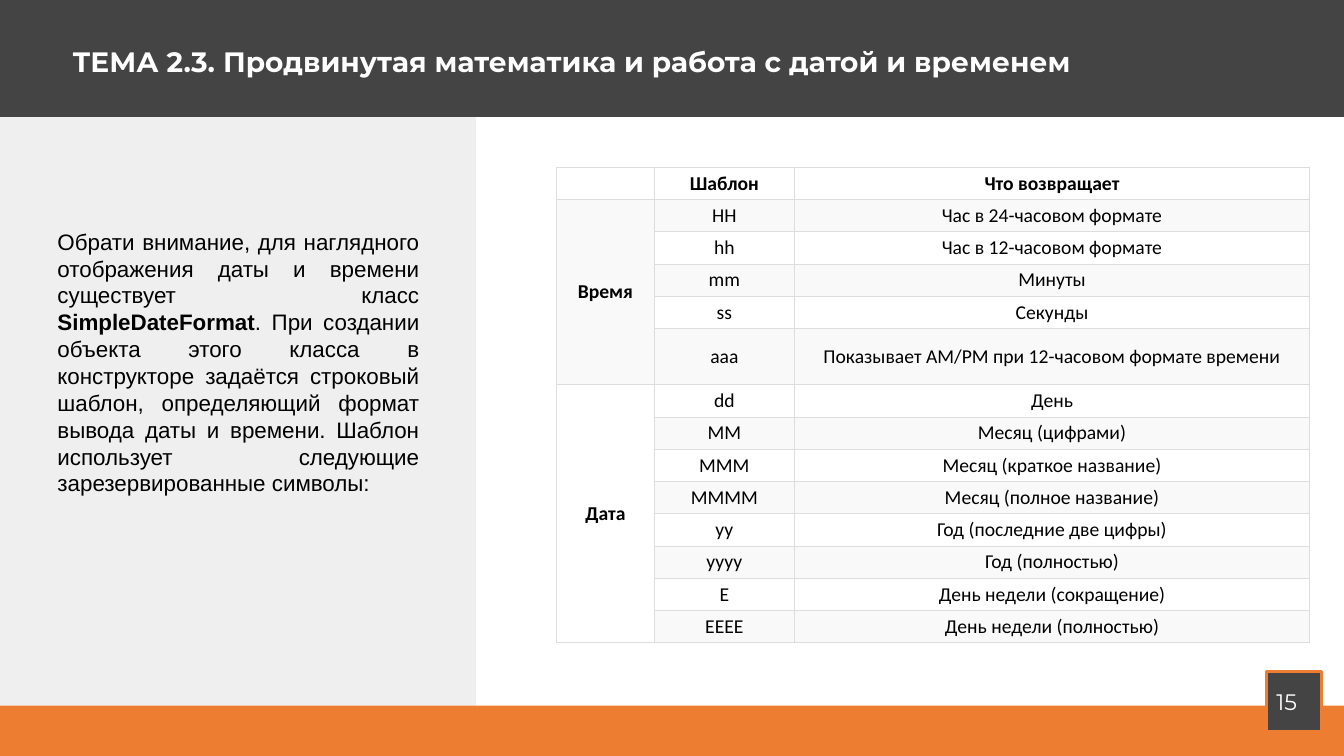
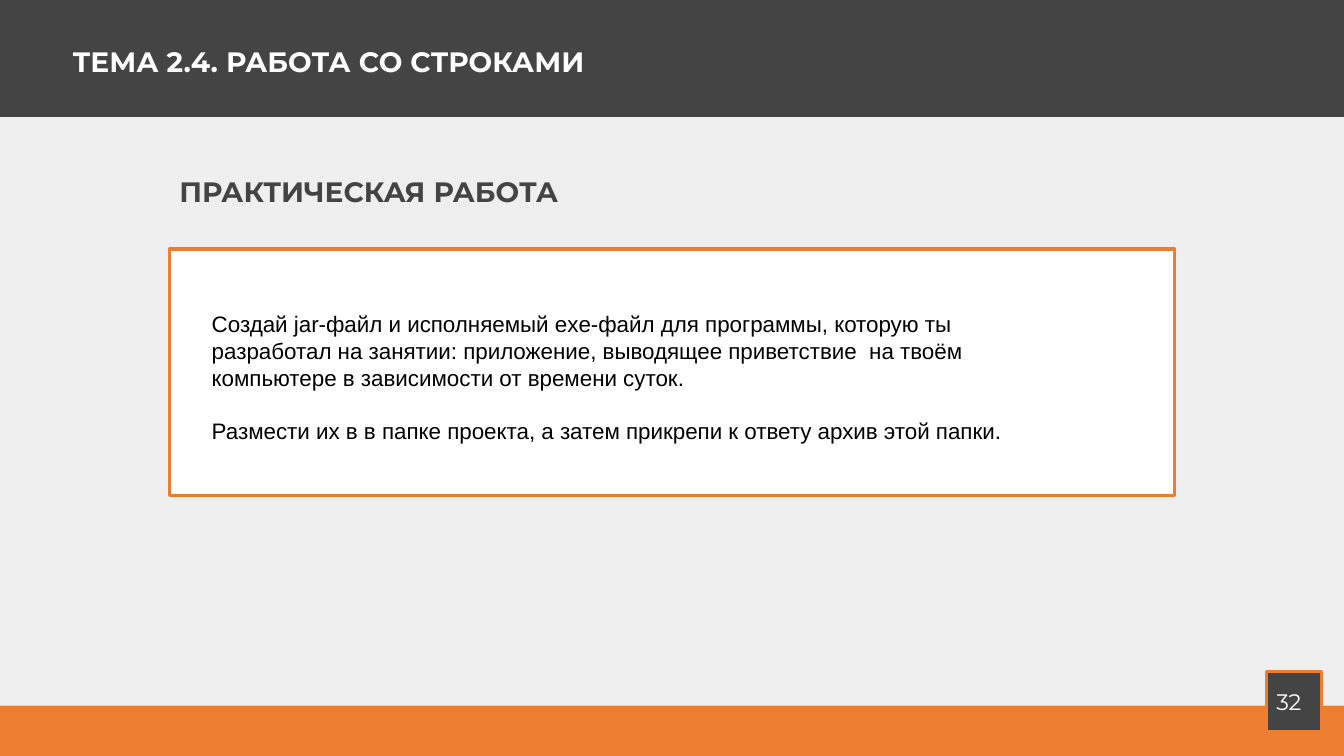
from lxml.etree import SubElement
from pptx import Presentation
from pptx.dml.color import RGBColor
from pptx.enum.shapes import MSO_SHAPE
from pptx.enum.text import MSO_ANCHOR, MSO_AUTO_SIZE, PP_ALIGN
from pptx.oxml.ns import qn
from pptx.util import Inches, Pt

# Shared look
SLIDE_WIDTH, SLIDE_HEIGHT = 13.33, 7.5
HEADER_HEIGHT, FOOTER_TOP = 1.16, 7.0
DARK, ORANGE, PALE, WHITE, BLACK = "444444", "ED7D31", "EFEFEF", "FFFFFF", "000000"
GRID, STRIPE = "DDDDDD", "F9F9F9"

HEADING_FONT = {"name": "Montserrat", "size": Pt(20), "bold": True}
NUMBER_FONT = {"name": "Montserrat", "size": Pt(16), "bold": False}
BODY_FONT = {"name": "Arial", "size": Pt(16), "bold": False}
TABLE_FONT = {"name": "Calibri", "size": Pt(14), "bold": False}

HEADING_PARAGRAPH = {"alignment": PP_ALIGN.LEFT, "line_spacing": 1.07,
                     "space_before": Pt(0), "space_after": Pt(8)}
BODY_PARAGRAPH = {"alignment": PP_ALIGN.LEFT, "line_spacing": 1.0,
                  "space_before": Pt(0), "space_after": Pt(0)}
FRAME = {"word_wrap": True, "auto_size": MSO_AUTO_SIZE.NONE,
         "vertical_anchor": MSO_ANCHOR.TOP}
CELL = {"vertical_anchor": MSO_ANCHOR.MIDDLE,
        **{f"margin_{side}": Inches(0.04) for side in ("left", "right", "top", "bottom")}}

# Table content: group, then (pattern, meaning) rows
TABLE_HEADER = ("", "Шаблон", "Что возвращает")
PATTERN_GROUPS = {
    "Время": [
        ("HH", "Час в 24-часовом формате"),
        ("hh", "Час в 12-часовом формате"),
        ("mm", "Минуты"),
        ("ss", "Секунды"),
        ("aaa", "Показывает AM/PM при 12-часовом формате времени"),
    ],
    "Дата": [
        ("dd", "День"),
        ("MM", "Месяц (цифрами)"),
        ("MMM", "Месяц (краткое название)"),
        ("MMMM", "Месяц (полное название)"),
        ("yy", "Год (последние две цифры)"),
        ("yyyy", "Год (полностью)"),
        ("E", "День недели (сокращение)"),
        ("EEEE", "День недели (полностью)"),
    ],
}
COLUMN_WIDTHS = (0.97, 1.39, 5.11)
ROW_HEIGHT, TALL_ROW_HEIGHT, TALL_ROW = 0.32, 0.56, 5


def color(hex_string):
    return RGBColor.from_string(hex_string)


def apply(target, values):
    for name, value in values.items():
        setattr(target, name, value)


def add_run(paragraph, text, font, font_color, **changes):
    run = paragraph.add_run()
    run.text = text
    apply(run.font, {**font, **changes})
    run.font.color.rgb = color(font_color)


def add_rectangle(slide, left, top, width, height, fill, line=None):
    shape = slide.shapes.add_shape(MSO_SHAPE.RECTANGLE, Inches(left), Inches(top),
                                   Inches(width), Inches(height))
    shape.shadow.inherit = False
    shape.fill.solid()
    shape.fill.fore_color.rgb = color(fill)
    if line:
        shape.line.color.rgb = color(line)
        shape.line.width = Pt(2.25)
    else:
        shape.line.fill.background()
    return shape


def place(shape, left, top, width, height):
    """Move a text shape, bring it to the front and set its frame."""
    apply(shape, {"left": Inches(left), "top": Inches(top),
                  "width": Inches(width), "height": Inches(height)})
    shape._element.getparent().append(shape._element)
    apply(shape.text_frame, FRAME)


def write_heading(shape, text, font_color):
    paragraph = shape.text_frame.paragraphs[0]
    apply(paragraph, HEADING_PARAGRAPH)
    add_run(paragraph, text, HEADING_FONT, font_color)


def write_body(shape, paragraphs, **changes):
    """Each paragraph is a list of (text, bold) pieces."""
    frame = shape.text_frame
    for index, pieces in enumerate(paragraphs):
        paragraph = frame.add_paragraph() if index else frame.paragraphs[0]
        apply(paragraph, {**BODY_PARAGRAPH, **changes})
        if index:
            paragraph.space_before = Pt(18.4)
        properties = paragraph._p.get_or_add_pPr()
        properties.set("marL", "0")
        properties.set("indent", "0")
        SubElement(properties, qn("a:buNone"))
        for text, bold in pieces:
            add_run(paragraph, text, BODY_FONT, BLACK, bold=bold)


def add_framed_slide(presentation, title, number, panel_width):
    """Slide with panel, header, footer, title and page badge."""
    slide = presentation.slides.add_slide(presentation.slide_layouts[1])
    add_rectangle(slide, 0, HEADER_HEIGHT, panel_width, FOOTER_TOP - HEADER_HEIGHT, PALE)
    add_rectangle(slide, 0, FOOTER_TOP, SLIDE_WIDTH, SLIDE_HEIGHT - FOOTER_TOP, ORANGE)
    add_rectangle(slide, 0, 0, SLIDE_WIDTH, HEADER_HEIGHT, DARK)

    badge = add_rectangle(slide, 12.56, 6.66, 0.55, 0.6, DARK, ORANGE)
    badge.text_frame.vertical_anchor = MSO_ANCHOR.MIDDLE
    paragraph = badge.text_frame.paragraphs[0]
    paragraph.alignment = PP_ALIGN.LEFT
    add_run(paragraph, number, NUMBER_FONT, WHITE)

    place(slide.shapes.title, 0.62, 0.37, 11.28, 0.46)
    write_heading(slide.shapes.title, title, WHITE)
    return slide


def set_borders(cell):
    properties = cell._tc.get_or_add_tcPr()
    for side in ("L", "R", "T", "B"):
        line = SubElement(properties, qn(f"a:ln{side}"), w=str(Pt(0.75)))
        fill = SubElement(line, qn("a:solidFill"))
        SubElement(fill, qn("a:srgbClr"), val=GRID)


def write_cell(cell, text, fill, bold):
    apply(cell, CELL)
    set_borders(cell)
    cell.fill.solid()
    cell.fill.fore_color.rgb = color(fill)
    paragraph = cell.text_frame.paragraphs[0]
    paragraph.alignment = PP_ALIGN.CENTER
    if text:
        add_run(paragraph, text, TABLE_FONT, BLACK, bold=bold)
    else:  # keeps an empty cell from stretching its row
        SubElement(paragraph._p, qn("a:endParaRPr"), sz="1400")


def add_pattern_table(slide, left, top):
    rows = [TABLE_HEADER]
    merges = []
    for group, patterns in PATTERN_GROUPS.items():
        merges.append((len(rows), len(rows) + len(patterns) - 1))
        rows += [("" if index else group, *pattern)
                 for index, pattern in enumerate(patterns)]

    heights = [TALL_ROW_HEIGHT if index == TALL_ROW else ROW_HEIGHT
               for index in range(len(rows))]
    table = slide.shapes.add_table(len(rows), len(COLUMN_WIDTHS), Inches(left), Inches(top),
                                   Inches(sum(COLUMN_WIDTHS)), Inches(sum(heights))).table
    apply(table, {"first_row": False, "horz_banding": False})
    for column, width in zip(table.columns, COLUMN_WIDTHS):
        column.width = Inches(width)
    for row_index, texts in enumerate(rows):
        table.rows[row_index].height = Inches(heights[row_index])
        fill = STRIPE if row_index % 2 else WHITE
        for column_index, text in enumerate(texts):
            bold = row_index == 0 or column_index == 0
            write_cell(table.cell(row_index, column_index), text, fill, bold)
    for first, last in merges:
        table.cell(first, 0).merge(table.cell(last, 0))


def build_date_format_slide(presentation):
    slide = add_framed_slide(
        presentation, "ТЕМА 2.3. Продвинутая математика и работа с датой и временем", "15", 4.72)
    body = slide.placeholders[1]
    place(body, 0.47, 2.21, 3.79, 2.79)
    write_body(body, [[
        ("Обрати внимание, для наглядного отображения даты и времени существует класс ", False),
        ("SimpleDateFormat", True),
        (". При создании объекта этого класса в конструкторе задаётся строковый шаблон, "
         "определяющий формат вывода даты и времени. Шаблон использует следующие "
         "зарезервированные символы:", False),
    ]], alignment=PP_ALIGN.JUSTIFY)
    add_pattern_table(slide, 5.52, 1.66)


def build_practice_slide(presentation):
    slide = add_framed_slide(presentation, "ТЕМА 2.4. РАБОТА СО СТРОКАМИ", "32", SLIDE_WIDTH)
    add_rectangle(slide, 1.68, 2.47, 9.97, 2.45, WHITE, ORANGE)
    body = slide.placeholders[1]
    place(body, 2, 3.03, 8.63, 1.45)
    write_body(body, [
        [("Создай jar-файл и исполняемый exe-файл для программы, которую ты разработал "
          "на занятии: приложение, выводящее приветствие  на твоём компьютере "
          "в зависимости от времени суток.", False)],
        [("Размести их в в папке проекта, а затем прикрепи к ответу архив этой папки.", False)],
    ])
    heading = slide.shapes.add_textbox(0, 0, 0, 0)
    place(heading, 1.68, 1.66, 8.95, 0.46)
    write_heading(heading, "ПРАКТИЧЕСКАЯ РАБОТА", DARK)


def main():
    presentation = Presentation()
    presentation.slide_width = Inches(SLIDE_WIDTH)
    presentation.slide_height = Inches(SLIDE_HEIGHT)
    build_date_format_slide(presentation)
    build_practice_slide(presentation)
    presentation.save("out.pptx")


if __name__ == "__main__":
    main()
